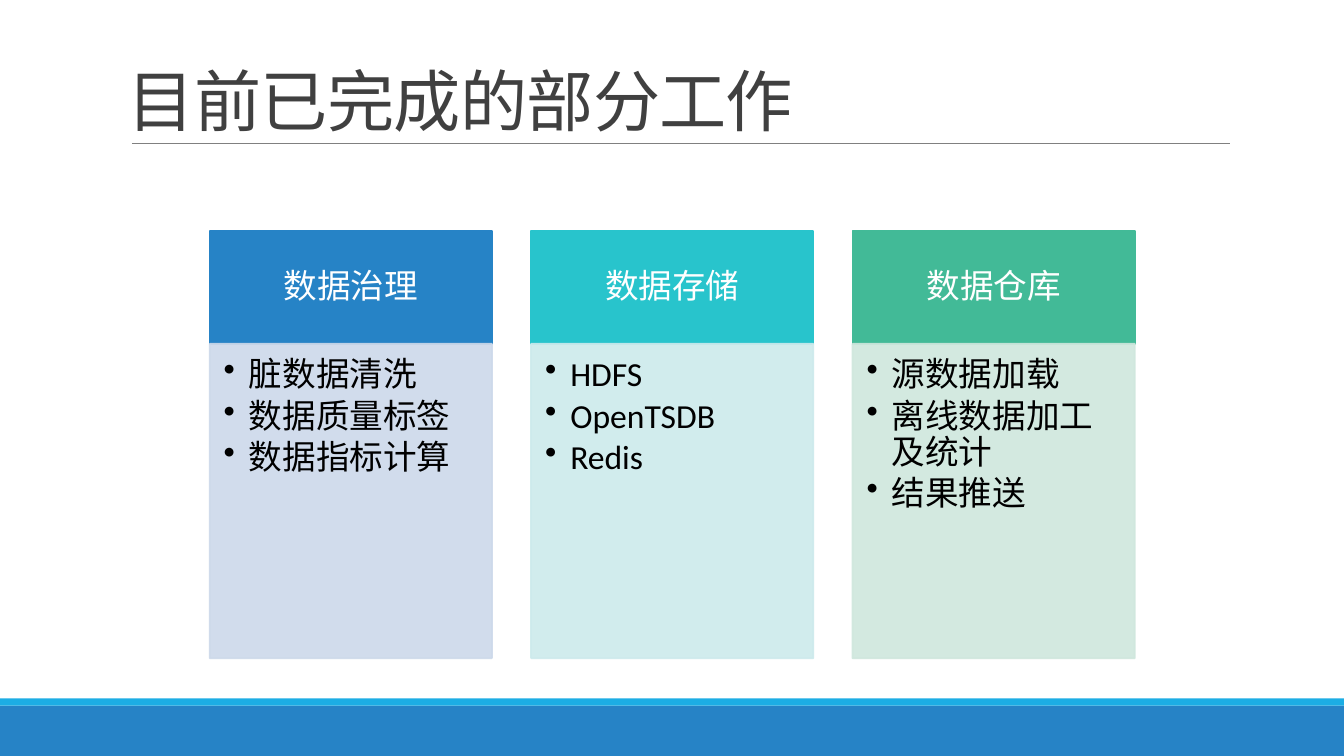
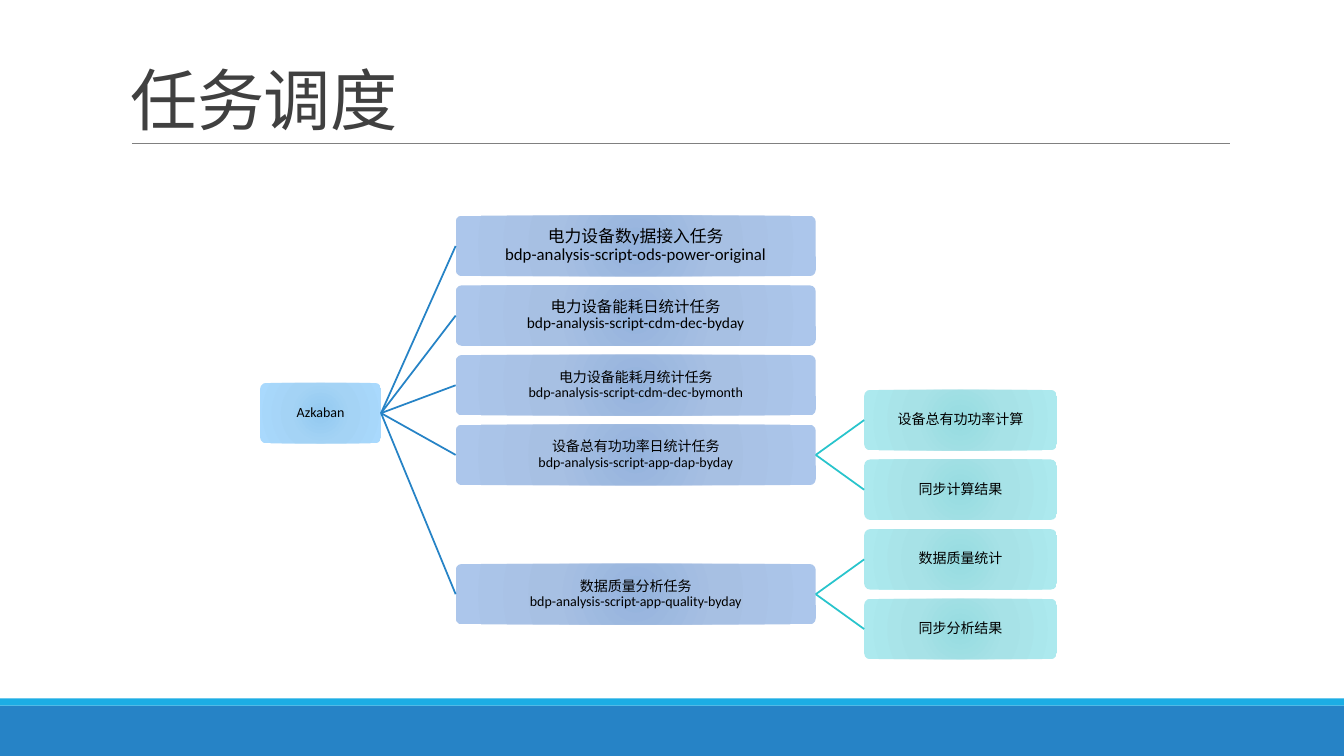
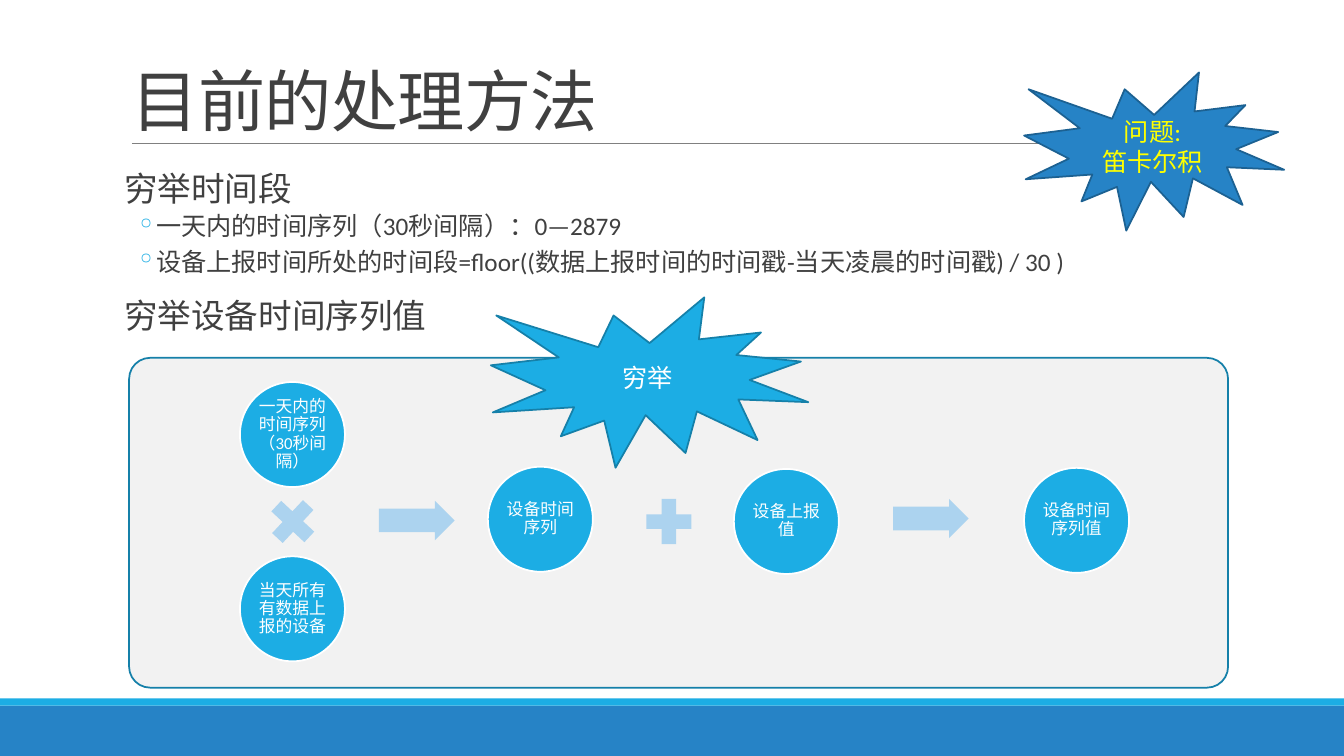
from copy import deepcopy
from dataclasses import dataclass

from lxml import etree
from pptx import Presentation
from pptx.dml.color import RGBColor
from pptx.enum import shapes, text
from pptx.oxml.ns import qn
from pptx.util import Pt

Preset = shapes.MSO_SHAPE
Align = text.PP_ALIGN
Anchor = text.MSO_ANCHOR


@dataclass(frozen=True)
class Theme:
    font: str = "Calibri"
    blue: str = "2683C6"
    sky: str = "1CADE4"
    teal: str = "28C4CC"
    green: str = "42BA97"
    pale_blue: str = "CDD9EA"
    pale_teal: str = "CDEAEC"
    pale_green: str = "CFE7DD"
    symbol: str = "ACD3EF"
    panel: str = "F2F2F2"
    blue_edge: str = "1C6192"
    sky_edge: str = "1580A9"
    rule: str = "808080"
    ink: str = "404040"
    black: str = "000000"
    white: str = "FFFFFF"
    yellow: str = "FFFF00"
    title_size: float = 48
    large: float = 24
    medium: float = 18
    label: float = 12
    small: float = 10
    line: float = 1.25


THEME = Theme()
SLIDE_WIDTH, SLIDE_HEIGHT = 960, 540

COLUMNS = [
    ("数据治理", THEME.blue, THEME.pale_blue, ["脏数据清洗", "数据质量标签", "数据指标计算"]),
    ("数据存储", THEME.teal, THEME.pale_teal, ["HDFS", "OpenTSDB", "Redis"]),
    ("数据仓库", THEME.green, THEME.pale_green, ["源数据加载", "离线数据加工及统计", "结果推送"]),
]

ROOT_GRADIENT = ("92C9F0", "A4D3F5", "A9D9FD")
TASK_GRADIENT = ("95B3DD", "A7C0E3", "ACC6EB")
STEP_GRADIENT = ("95DBE0", "A7E2E7", "ACE9EE")
SCHEDULER = ("Azkaban", 2.4)
TASKS = [
    (0, 12, "电力设备数y据接入任务\nbdp-analysis-script-ods-power-original", []),
    (1, 11, "电力设备能耗日统计任务\nbdp-analysis-script-cdm-dec-byday", []),
    (2, 10, "电力设备能耗月统计任务\nbdp-analysis-script-cdm-dec-bymonth", []),
    (3, 10, "设备总有功功率日统计任务\nbdp-analysis-script-app-dap-byday", ["设备总有功功率计算", "同步计算结果"]),
    (5, 10, "数据质量分析任务\nbdp-analysis-script-app-quality-byday", ["数据质量统计", "同步分析结果"]),
]

METHOD = [
    (0, "穷举时间段"),
    (1, "一天内的时间序列（30秒间隔）：0—2879"),
    (1, "设备上报时间所处的时间段=floor((数据上报时间的时间戳-当天凌晨的时间戳) / 30 )"),
    (0, "穷举设备时间序列值"),
]
CIRCLES = [
    ("一天内的时间序列（30秒间隔）", 171.4, 272.9),
    ("当天所有有数据上报的设备", 171.4, 397.4),
    ("设备时间序列", 348.5, 333.4),
    ("设备上报值", 524.2, 335),
    ("设备时间序列值", 731.5, 334.2),
]
PLUSES = [(455.8, 350.6, 0), (187.2, 350.6, 43)]
ARROWS = [(270.7, 357.8), (637.9, 356.4)]
BURSTS = [
    (["问题:", "笛卡尔积"], (731.5, 51.8, 185.8, 113), THEME.blue, THEME.blue_edge, THEME.yellow),
    (["穷举"], (350.6, 212.4, 226.8, 121.7), THEME.sky, THEME.sky_edge, THEME.white),
]


def rgb(value):
    return RGBColor.from_string(value)


def add_child(parent, tag, **attributes):
    return etree.SubElement(parent, qn(tag), attributes)


def add_box(slide, preset, box, fill, line=None, adjustments=()):
    shape = slide.shapes.add_shape(preset, *map(Pt, box))
    shape.shadow.inherit = False
    for index, value in enumerate(adjustments):
        shape.adjustments[index] = value
    shape.fill.solid()
    shape.fill.fore_color.rgb = rgb(fill)
    if line:
        shape.line.color.rgb = rgb(line)
        shape.line.width = Pt(THEME.line)
    else:
        shape.line.fill.background()
    return shape


def set_frame(shape, insets, anchor):
    frame = shape.text_frame
    frame.word_wrap = True
    frame.vertical_anchor = anchor
    frame.margin_left, frame.margin_top, frame.margin_right, frame.margin_bottom = map(Pt, insets)
    return frame


def add_paragraph(frame, content, size, color, align=Align.LEFT, spacing=0.9, before=0, after=0):
    first = frame.paragraphs[0]
    paragraph = frame.add_paragraph() if first.runs else first
    paragraph.alignment = align
    paragraph.line_spacing = spacing
    paragraph.space_before = Pt(before if first.runs else 0)
    paragraph.space_after = Pt(after)
    for index, line in enumerate(content.split("\n")):
        if index:
            paragraph.add_line_break()
            paragraph._p[-1].append(deepcopy(run._r.rPr))
        run = paragraph.add_run()
        run.text = line
        run.font.name = THEME.font
        run.font.size = Pt(size)
        run.font.color.rgb = rgb(color)
    return paragraph


def add_label(shape, content, size, color, insets=(0.9, 0.9, 0.9, 0.9)):
    frame = set_frame(shape, insets, Anchor.MIDDLE)
    add_paragraph(frame, content, size, color, Align.CENTER, after=size * 0.35)


def set_bullet(paragraph, margin, hanging, symbol=None, color=None):
    properties = paragraph._p.get_or_add_pPr()
    properties.set("marL", str(Pt(margin)))
    properties.set("indent", str(-Pt(hanging)))
    if color:
        add_child(add_child(properties, "a:buClr"), "a:srgbClr", val=color)
    if symbol:
        add_child(properties, "a:buChar", char=symbol)
    else:
        add_child(properties, "a:buNone")


def set_opacity(shape, percent):
    for color in shape._element.spPr.iter(qn("a:srgbClr")):
        add_child(color, "a:alpha", val=str(percent * 1000))


def set_radial_fill(shape, colors):
    gradient = etree.Element(qn("a:gradFill"), rotWithShape="1")
    stops = add_child(gradient, "a:gsLst")
    for position, color in zip((0, 45, 100), colors):
        add_child(add_child(stops, "a:gs", pos=str(position * 1000)), "a:srgbClr", val=color)
    circle = add_child(gradient, "a:path", path="circle")
    add_child(circle, "a:fillToRect", **dict.fromkeys("ltrb", "100000"))
    properties = shape._element.spPr
    properties.replace(properties.find(qn("a:solidFill")), gradient)


def add_line(slide, start, end, color, width):
    line = slide.shapes.add_connector(shapes.MSO_CONNECTOR.STRAIGHT, *map(Pt, (*start, *end)))
    line.line.color.rgb = rgb(color)
    line.line.width = Pt(width)
    add_child(line._element.spPr, "a:effectLst")
    return line


def join(slide, parent, child, color):
    line = add_line(slide, (0, 0), (0, 0), color, THEME.line)
    line.begin_connect(parent, 3)
    line.end_connect(child, 1)


def add_slide(presentation, title, title_box):
    slide = presentation.slides.add_slide(presentation.slide_layouts[6])
    add_box(slide, Preset.RECTANGLE, (0, 504, SLIDE_WIDTH, 36), THEME.blue)
    add_box(slide, Preset.RECTANGLE, (0, 498.8, SLIDE_WIDTH, 5.2), THEME.sky)
    add_line(slide, (94.3, 102.7), (878.8, 102.7), THEME.rule, 0.5)
    box = slide.shapes.add_textbox(*map(Pt, title_box))
    frame = set_frame(box, (7.2, 3.6, 7.2, 3.6), Anchor.BOTTOM)
    paragraph = add_paragraph(frame, title, THEME.title_size, THEME.ink, spacing=0.85)
    paragraph.runs[0]._r.rPr.set("spc", "-50")
    return slide


def build_work(presentation):
    slide = add_slide(presentation, "目前已完成的部分工作", (84.2, 14.4, 792, 89.3))
    left, top, width, gap = 149.8, 165, 201.6, 28
    head_height, body_height = 80.6, 224.6
    for index, (heading, strong, pale, items) in enumerate(COLUMNS):
        x = left + index * (width + gap)
        head = add_box(slide, Preset.RECTANGLE, (x, top, width, head_height), strong, strong)
        add_label(head, heading, THEME.large, THEME.white, (13.4, 7.7, 13.4, 7.7))
        body = add_box(slide, Preset.RECTANGLE, (x, top + head_height, width, body_height), pale, pale)
        set_opacity(body, 90)
        frame = set_frame(body, (10, 10, 13.4, 15), Anchor.TOP)
        for item in items:
            paragraph = add_paragraph(frame, item, THEME.large, THEME.black, after=THEME.large * 0.15)
            set_bullet(paragraph, 18, 18, "•")


def build_schedule(presentation):
    slide = add_slide(presentation, "任务调度", (86.4, 15.8, 792, 87.1))
    top, pitch, height = 154.1, 49.75, 43.2

    def add_node(content, size, x, width, row, gradient):
        box = (x, top + row * pitch, width, height)
        node = add_box(slide, Preset.ROUNDED_RECTANGLE, box, gradient[0], adjustments=[0.1])
        set_radial_fill(node, gradient)
        add_label(node, content, size, THEME.black)
        return node

    name, root_row = SCHEDULER
    root = add_node(name, THEME.small, 185.8, 86.4, root_row, ROOT_GRADIENT)
    for row, size, content, steps in TASKS:
        task = add_node(content, size, 325.5, 257.2, row, TASK_GRADIENT)
        join(slide, root, task, THEME.blue)
        for index, step in enumerate(steps):
            step_row = row + index - (len(steps) - 1) / 2
            leaf = add_node(step, THEME.small, 617.3, 137.6, step_row, STEP_GRADIENT)
            join(slide, task, leaf, THEME.teal)


def build_method(presentation):
    slide = add_slide(presentation, "目前的处理方法", (87.1, 20.9, 790, 82.8))
    add_box(slide, Preset.ROUNDED_RECTANGLE, (92.2, 255.6, 785, 235.6), THEME.panel, THEME.sky_edge, [0.064])
    body = slide.shapes.add_textbox(*map(Pt, (81.4, 119.5, 800, 136.8)))
    frame = set_frame(body, (0, 3.6, 0, 3.6), Anchor.TOP)
    for level, content in METHOD:
        if level:
            paragraph = add_paragraph(frame, content, THEME.medium, THEME.ink, before=2, after=4)
            set_bullet(paragraph, 30.2, 14.4, "◦", THEME.sky)
        else:
            paragraph = add_paragraph(frame, content, THEME.large, THEME.ink, before=12, after=2)
            set_bullet(paragraph, 7.2, 0)
    for x, y, angle in PLUSES:
        plus = add_box(slide, Preset.MATH_PLUS, (x, y, 43.9, 43.9), THEME.symbol)
        plus.rotation = angle
    for x, y in ARROWS:
        add_box(slide, Preset.RIGHT_ARROW, (x, y, 54, 28), THEME.symbol, adjustments=[0.6, 0.5])
    for content, x, y in CIRCLES:
        circle = add_box(slide, Preset.OVAL, (x, y, 75, 75), THEME.sky, THEME.white)
        add_label(circle, content, THEME.label, THEME.white)
    for lines, box, fill, edge, color in BURSTS:
        burst = add_box(slide, Preset.EXPLOSION1, box, fill, edge)
        frame = set_frame(burst, (7.2, 3.6, 7.2, 3.6), Anchor.MIDDLE)
        for line in lines:
            add_paragraph(frame, line, THEME.medium, color, Align.CENTER, spacing=1)


def main():
    presentation = Presentation()
    presentation.slide_width = Pt(SLIDE_WIDTH)
    presentation.slide_height = Pt(SLIDE_HEIGHT)
    build_work(presentation)
    build_schedule(presentation)
    build_method(presentation)
    presentation.save("out.pptx")


if __name__ == "__main__":
    main()
